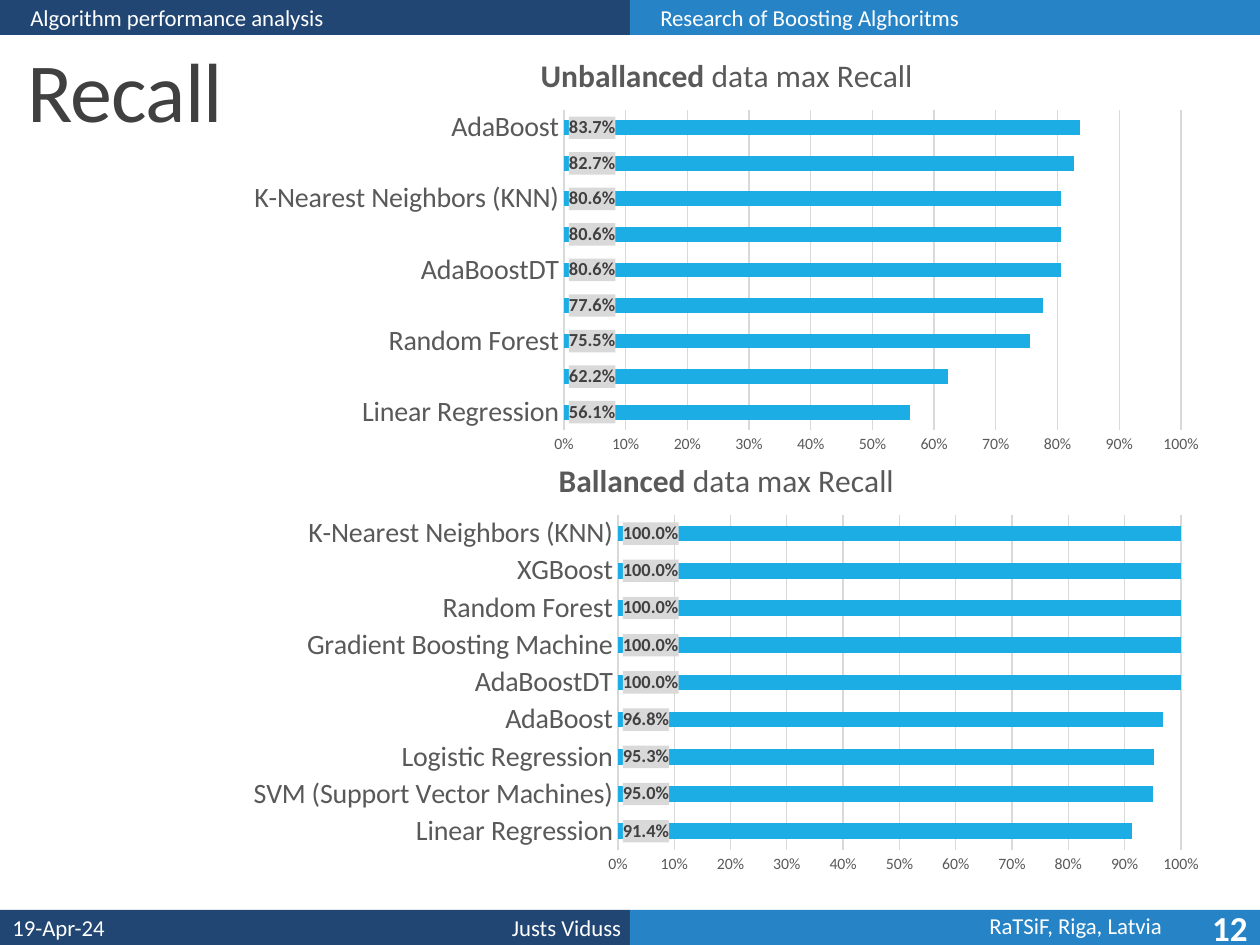
from lxml.etree import SubElement
from pptx import Presentation
from pptx.chart.data import CategoryChartData
from pptx.dml.color import RGBColor
from pptx.enum.chart import XL_CHART_TYPE, XL_LABEL_POSITION, XL_TICK_MARK
from pptx.enum.shapes import MSO_SHAPE
from pptx.enum.text import MSO_ANCHOR, MSO_AUTO_SIZE, PP_ALIGN
from pptx.oxml import parse_xml
from pptx.oxml.ns import nsdecls, qn
from pptx.util import Emu, Inches, Pt

NAVY = RGBColor(0x21, 0x46, 0x73)
BLUE = RGBColor(0x26, 0x83, 0xC6)
CYAN = RGBColor(0x1C, 0xAD, 0xE4)
WHITE = RGBColor(0xFF, 0xFF, 0xFF)
DARK = RGBColor(0x40, 0x40, 0x40)
GRAY = RGBColor(0x59, 0x59, 0x59)
LIGHT = RGBColor(0xD9, 0xD9, 0xD9)

PX_PER_INCH = 126
WIDTH, HEIGHT = 1260, 945
HALF, BAND = WIDTH // 2, 35
FOOTER_TOP = HEIGHT - BAND
UNLABELLED = " "


def px(value):
    return Emu(round(value * Inches(1) / PX_PER_INCH))


def set_attributes(target, values):
    for name, value in values.items():
        setattr(target, name, value)


def set_layout(parent, target, **fractions):
    """Fix the place of a chart part, as fractions of the chart area."""
    for old in parent.findall(qn("c:layout")):
        parent.remove(old)
    layout = parse_xml(f"<c:layout {nsdecls('c')}/>")
    manual = SubElement(layout, qn("c:manualLayout"))
    if target:
        SubElement(manual, qn("c:layoutTarget")).set("val", target)
    for mode in ("xMode", "yMode"):
        SubElement(manual, qn(f"c:{mode}")).set("val", "edge")
    for name, value in fractions.items():
        SubElement(manual, qn(f"c:{name}")).set("val", f"{value:.4f}")
    parent.insert(0 if target else 1, layout)


class SlideBuilder:
    font_name = "Calibri"

    def __init__(self, slide):
        self.slide = slide

    def style_font(self, font, size, color, bold=False):
        set_attributes(font, {"name": self.font_name, "size": Pt(size), "bold": bold})
        font.color.rgb = color

    def band(self, left, top, color):
        shape = self.slide.shapes.add_shape(
            MSO_SHAPE.RECTANGLE, px(left), px(top), px(HALF), px(BAND))
        shape.shadow.inherit = False
        shape.fill.solid()
        shape.fill.fore_color.rgb = color
        shape.line.fill.background()

    def fill_text(self, shape, box, text, size=13, color=WHITE, bold=False,
                  align=PP_ALIGN.LEFT, anchor=MSO_ANCHOR.MIDDLE, indent=0,
                  side_inset=0.1, line_spacing=1.0):
        set_attributes(shape, dict(zip(("left", "top", "width", "height"), map(px, box))))
        frame = shape.text_frame
        set_attributes(frame, {
            "text": text, "word_wrap": True, "auto_size": MSO_AUTO_SIZE.NONE,
            "vertical_anchor": anchor,
            "margin_left": Inches(side_inset), "margin_right": Inches(side_inset),
            "margin_top": Inches(0.05), "margin_bottom": Inches(0.05)})
        paragraph = frame.paragraphs[0]
        set_attributes(paragraph, {"alignment": align, "line_spacing": line_spacing,
                                   "space_before": Pt(0), "space_after": Pt(0)})
        properties = paragraph._p.get_or_add_pPr()
        properties.set("marL", str(Inches(indent)))
        properties.set("indent", "0")
        SubElement(properties, qn("a:buNone"))
        self.style_font(paragraph.runs[0].font, size, color, bold)
        return paragraph

    def text_box(self, box, text, **style):
        shape = self.slide.shapes.add_textbox(*map(px, box))
        self.fill_text(shape, box, text, **style)

    def placeholder(self, index, box, text, **style):
        """Fill a template placeholder and bring it to the front."""
        shape = next(item for item in self.slide.placeholders
                     if item.placeholder_format.idx == index)
        shape._element.getparent().append(shape._element)
        return self.fill_text(shape, box, text, **style)

    def recall_chart(self, box, plot, title, title_at, bars_data):
        categories, values = zip(*bars_data)
        data = CategoryChartData(number_format="0.0%")
        data.categories = categories
        data.add_series("Series 1", values)
        chart = self.slide.shapes.add_chart(
            XL_CHART_TYPE.BAR_CLUSTERED, *map(px, box), data).chart
        chart.has_legend = False
        chart.font.name, chart.font.size = self.font_name, Pt(10)
        left, top, width, height = box

        chart.has_title = True
        paragraph = chart.chart_title.text_frame.paragraphs[0]
        for text, bold in zip(title, (True, False)):
            run = paragraph.add_run()
            run.text = text
            self.style_font(run.font, 18, GRAY, bold)
        chart.chart_title.include_in_layout = False
        set_layout(chart.chart_title._element, None,
                   x=(title_at[0] - left) / width, y=(title_at[1] - top) / height)
        set_layout(chart._chartSpace.chart.plotArea, "inner",
                   x=(plot[0] - left) / width, y=(plot[1] - top) / height,
                   w=plot[2] / width, h=plot[3] / height)

        bars = chart.plots[0]
        set_attributes(bars, {"gap_width": 140, "vary_by_categories": False,
                              "has_data_labels": True})
        fill = bars.series[0].format.fill
        fill.solid()
        fill.fore_color.rgb = CYAN
        labels = bars.data_labels
        set_attributes(labels, {
            "show_value": True, "position": XL_LABEL_POSITION.INSIDE_BASE,
            "number_format": "0.0%", "number_format_is_linked": False})
        self.style_font(labels.font, 10.5, DARK, True)
        labels._element.find(qn("c:txPr")).addprevious(parse_xml(
            f"<c:spPr {nsdecls('c', 'a')}><a:solidFill>"
            f'<a:srgbClr val="{LIGHT}"/></a:solidFill></c:spPr>'))

        for axis, size in ((chart.category_axis, 16), (chart.value_axis, 9)):
            axis.major_tick_mark = axis.minor_tick_mark = XL_TICK_MARK.NONE
            self.style_font(axis.tick_labels.font, size, GRAY)
        value_axis = chart.value_axis
        set_attributes(value_axis, {"minimum_scale": 0, "maximum_scale": 1,
                                    "major_unit": 0.1, "has_major_gridlines": True})
        set_attributes(value_axis.tick_labels, {"number_format": "0%",
                                                "number_format_is_linked": False})
        value_axis.format.line.fill.background()
        for line in (chart.category_axis.format.line,
                     value_axis.major_gridlines.format.line):
            line.color.rgb, line.width = LIGHT, Pt(0.75)


def main():
    presentation = Presentation()
    presentation.slide_width, presentation.slide_height = px(WIDTH), px(HEIGHT)
    slide = presentation.slides.add_slide(
        presentation.slide_layouts.get_by_name("Comparison"))
    builder = SlideBuilder(slide)

    for top in (0, FOOTER_TOP):
        for left, color in ((0, NAVY), (HALF, BLUE)):
            builder.band(left, top, color)

    title = builder.placeholder(0, (0, 48, WIDTH, 136), "Recall", size=48, color=DARK,
                                anchor=MSO_ANCHOR.TOP, indent=0.12, line_spacing=0.85)
    title.runs[0].font._element.set("spc", "-50")
    header = {"indent": 0.24, "side_inset": 0}
    builder.placeholder(1, (0, 0, HALF, BAND), "Algorithm performance analysis", **header)
    builder.placeholder(3, (HALF, 0, HALF, BAND), "Research of Boosting Alghoritms", **header)
    builder.placeholder(2, (154, FOOTER_TOP, 467, BAND), "Justs Viduss",
                        align=PP_ALIGN.RIGHT, **header)
    builder.text_box((0, FOOTER_TOP, 151, BAND), "19-Apr-24")
    builder.text_box((HALF, FOOTER_TOP, 544, BAND), "RaTSiF, Riga, Latvia",
                     align=PP_ALIGN.RIGHT, line_spacing=0.8)
    builder.text_box((1178, FOOTER_TOP, 82, BAND), "12", size=20, bold=True,
                     align=PP_ALIGN.RIGHT)

    builder.recall_chart(
        (234, 441, 984, 441), (618, 515, 563, 335),
        ("Ballanced", " data max Recall"), (555, 456), [
            ("Linear Regression", 0.914), ("SVM (Support Vector Machines)", 0.95),
            ("Logistic Regression", 0.953), ("AdaBoost", 0.968), ("AdaBoostDT", 1),
            ("Gradient Boosting Machine", 1), ("Random Forest", 1), ("XGBoost", 1),
            ("K-Nearest Neighbors (KNN)", 1)])
    builder.recall_chart(
        (234, 37, 984, 426), (564, 110, 617, 320),
        ("Unballanced", " data max Recall"), (537, 51), [
            ("Linear Regression", 0.561), (UNLABELLED, 0.622),
            ("Random Forest", 0.755), (UNLABELLED, 0.776),
            ("AdaBoostDT", 0.806), (UNLABELLED, 0.806),
            ("K-Nearest Neighbors (KNN)", 0.806), (UNLABELLED, 0.827),
            ("AdaBoost", 0.837)])

    for shape in list(slide.placeholders):
        if not shape.text_frame.text:
            shape._element.getparent().remove(shape._element)
    presentation.save("out.pptx")


if __name__ == "__main__":
    main()
